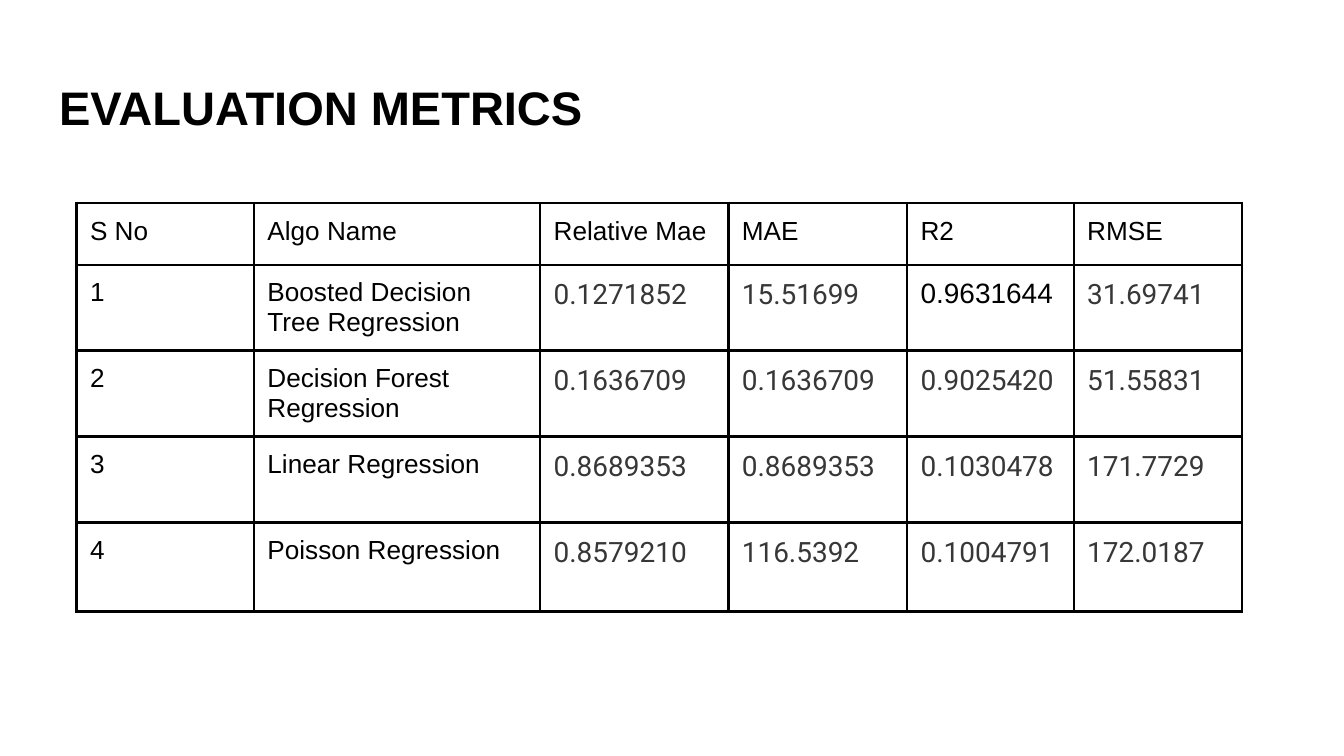
from lxml import etree
from pptx import Presentation
from pptx.dml.color import RGBColor
from pptx.enum.text import MSO_ANCHOR, PP_ALIGN
from pptx.oxml.ns import qn
from pptx.util import Inches, Pt

TITLE_ONLY = 5
LEFT, TOP, MIDDLE = PP_ALIGN.LEFT, MSO_ANCHOR.TOP, MSO_ANCHOR.MIDDLE
COLORS = {"black": "000000", "gray": "373737", "white": "FFFFFF"}
INSET = Inches(0.1)

COL_WIDTHS = [1.32, 2.13, 1.4, 1.33, 1.24, 1.25]
ROW_HEIGHTS = [0.46, 0.64, 0.64, 0.64, 0.66]
ROWS = [
    ["S No", "Algo Name", "Relative Mae", "MAE", "R2", "RMSE"],
    ["1", "Boosted Decision Tree Regression", "0.1271852", "15.51699", "0.9631644", "31.69741"],
    ["2", "Decision Forest Regression", "0.1636709", "0.1636709", "0.9025420", "51.55831"],
    ["3", "Linear Regression", "0.8689353", "0.8689353", "0.1030478", "171.7729"],
    ["4", "Poisson Regression", "0.8579210", "116.5392", "0.1004791", "172.0187"],
]
FIRST_METRIC_COL = 2
BEST_R2 = (1, 4)


def add_run(p, text, size, font="Arial", color="black", bold=False):
    r = p.add_run()
    r.text = text
    r.font.size = Pt(size)
    r.font.name = font
    r.font.bold = bold
    r.font.color.rgb = RGBColor.from_string(COLORS[color])


def set_insets(box):
    box.margin_left = box.margin_right = INSET
    box.margin_top = box.margin_bottom = INSET


def add_title(s, text):
    sp = s.shapes.title
    sp.left, sp.top = Inches(0.34), Inches(0.48)
    sp.width, sp.height = Inches(9.32), Inches(0.63)
    tf = sp.text_frame
    tf.word_wrap = True
    tf.vertical_anchor = MIDDLE
    set_insets(tf)
    p = tf.paragraphs[0]
    p.alignment = LEFT
    add_run(p, text, 25.2, bold=True)


def set_borders(cell, width, color):
    tc_pr = cell._tc.get_or_add_tcPr()
    for i, side in enumerate(("a:lnL", "a:lnR", "a:lnT", "a:lnB")):
        ln = etree.Element(qn(side), w=str(Pt(width)))
        fill = etree.SubElement(ln, qn("a:solidFill"))
        etree.SubElement(fill, qn("a:srgbClr"), val=COLORS[color])
        tc_pr.insert(i, ln)


def text_style(row, col):
    """Labels are black Arial; metrics are gray Roboto, but for the best R2."""
    if row == 0 or col < FIRST_METRIC_COL:
        return {"size": 14}
    if (row, col) == BEST_R2:
        return {"size": 15}
    return {"size": 15, "font": "Roboto", "color": "gray"}


def add_metrics_table(s):
    frame = s.shapes.add_table(
        len(ROWS), len(COL_WIDTHS), Inches(0.57), Inches(1.51),
        Inches(sum(COL_WIDTHS)), Inches(sum(ROW_HEIGHTS)))
    table = frame.table
    table.first_row = table.horz_banding = False
    for column, width in zip(table.columns, COL_WIDTHS):
        column.width = Inches(width)
    for row, height in zip(table.rows, ROW_HEIGHTS):
        row.height = Inches(height)
    for i, values in enumerate(ROWS):
        for j, value in enumerate(values):
            cell = table.cell(i, j)
            cell.fill.solid()
            cell.fill.fore_color.rgb = RGBColor.from_string(COLORS["white"])
            cell.vertical_anchor = TOP
            set_insets(cell)
            set_borders(cell, 1.5, "black")
            add_run(cell.text_frame.paragraphs[0], value, **text_style(i, j))


def main():
    prs = Presentation()
    prs.slide_width = Inches(10)
    prs.slide_height = prs.slide_width * 9 // 16
    s = prs.slides.add_slide(prs.slide_layouts[TITLE_ONLY])

    # Heading
    add_title(s, "EVALUATION METRICS")

    # Scores of each algorithm
    add_metrics_table(s)

    prs.save("out.pptx")


if __name__ == "__main__":
    main()
